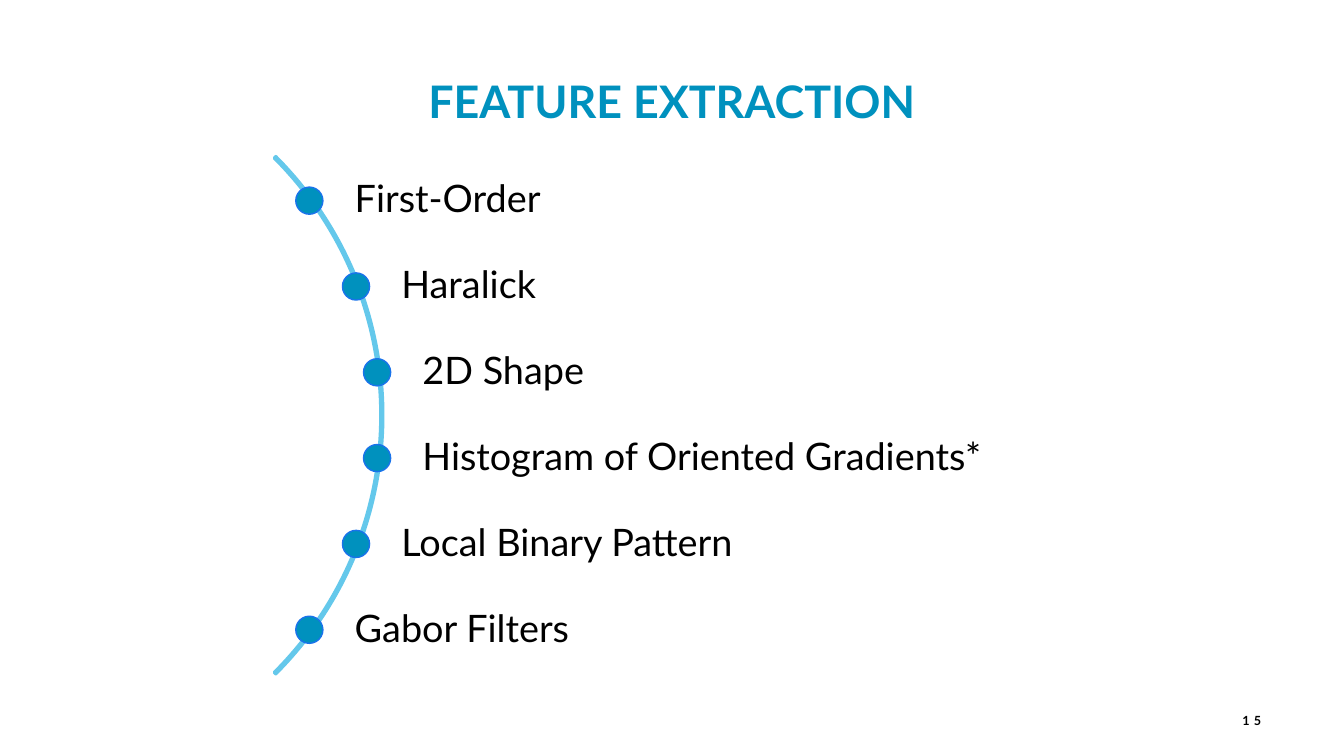
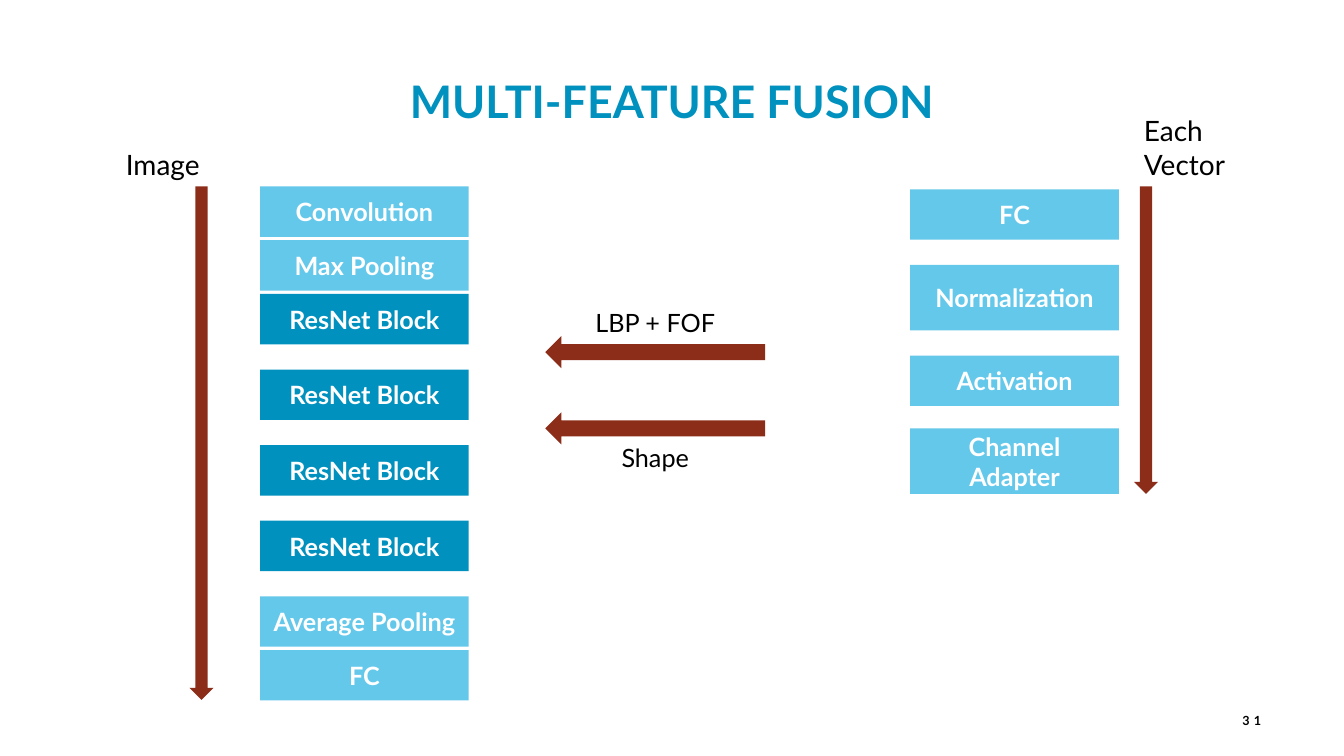
from math import sqrt

from pptx import Presentation
from pptx.dml.color import RGBColor
from pptx.enum.shapes import MSO_SHAPE
from pptx.enum.text import MSO_ANCHOR, PP_ALIGN
from pptx.util import Pt

SLIDE_WIDTH, SLIDE_HEIGHT = 960, 540
BLUE, SKY, DOT_EDGE = "0091BE", "64C8EB", "1973EB"
BRICK, BLACK, WHITE = "8C2D19", "000000", "FFFFFF"
BOX_WIDTH, BOX_HEIGHT, TALL_BOX = 149, 36, 46.8
WIDE_GAP, MEDIUM_GAP, THIN_GAP = 18, 16, 2.4

TITLE = {"size": Pt(32), "bold": True}
NUMBER = {"size": Pt(9), "bold": True}
ITEM = {"size": Pt(27)}
BOX_LABEL = {"size": Pt(18), "bold": True}
FLOW_LABEL = {"size": Pt(20)}
ARROW_LABEL = {"size": Pt(18)}


def color(value):
    return RGBColor.from_string(value)


def place(left, top, width, height):
    return [Pt(length) for length in (left, top, width, height)]


def write(box, lines, style, ink, align, frame_format):
    """Fill the box with one paragraph per line."""
    frame = box.text_frame
    frame.word_wrap = True
    for name, value in frame_format.items():
        setattr(frame, name, value)
    for index, line in enumerate(lines.split("\n")):
        para = frame.add_paragraph() if index else frame.paragraphs[0]
        para.alignment = align
        span = para.add_run()
        span.text = line
        span.font.name = "Lato"
        span.font.color.rgb = color(ink)
        for name, value in style.items():
            setattr(span.font, name, value)


def add_text(page, area, lines, style, ink=BLACK, align=PP_ALIGN.LEFT, **frame_format):
    box = page.shapes.add_textbox(*place(*area))
    write(box, lines, style, ink, align, frame_format)
    return box


def add_shape(page, kind, area, fill, edge=None, edge_width=1):
    shape = page.shapes.add_shape(kind, *place(*area))
    shape.shadow.inherit = False
    shape.fill.solid()
    shape.fill.fore_color.rgb = color(fill)
    if edge:
        shape.line.color.rgb = color(edge)
        shape.line.width = Pt(edge_width)
    else:
        shape.line.fill.background()
    return shape


def add_page(deck, title, number):
    page = deck.slides.add_slide(deck.slide_layouts[6])
    add_text(page, (0, 49, SLIDE_WIDTH, 46), title, TITLE, BLUE, PP_ALIGN.CENTER)
    number_box = add_text(page, (851, 500.4, 57, 28.8), number, NUMBER,
                          align=PP_ALIGN.RIGHT, vertical_anchor=MSO_ANCHOR.MIDDLE)
    span = number_box.text_frame.paragraphs[0].runs[0]
    span.font._element.set("spc", "300")
    return page


def add_arc_list(page, items):
    """Hang the items on dots that follow a circle's right side."""
    center_x, center_y, size = 12.2, 296.6, 522.7
    dot_radius, pitch, dot, right, height = 259, 61.3, 19.4, 764.6, 41
    arc = add_shape(page, MSO_SHAPE.BLOCK_ARC,
                    (center_x - size / 2, center_y - size / 2, size, size),
                    SKY, SKY, 2.25)
    for index, value in enumerate((189, 27, 0.003)):
        arc.adjustments[index] = value
    for index, item in enumerate(items):
        rise = (index - (len(items) - 1) / 2) * pitch
        x, y = center_x + sqrt(dot_radius ** 2 - rise ** 2), center_y + rise
        box = add_text(page, (x, y - height / 2, right - x, height), item, ITEM,
                       margin_left=Pt(32.4), margin_right=Pt(5), margin_top=Pt(5),
                       margin_bottom=Pt(5), vertical_anchor=MSO_ANCHOR.MIDDLE)
        box.text_frame.paragraphs[0].line_spacing = 0.9
        add_shape(page, MSO_SHAPE.OVAL, (x - dot / 2, y - dot / 2, dot, dot),
                  BLUE, DOT_EDGE)


def add_stack(page, left, top, rows):
    """Stack boxes downwards; a row is label, fill, height and gap below."""
    for label, fill, height, gap in rows:
        box = add_shape(page, MSO_SHAPE.RECTANGLE, (left, top, BOX_WIDTH, height), fill)
        write(box, label, BOX_LABEL, WHITE, PP_ALIGN.CENTER,
              {"vertical_anchor": MSO_ANCHOR.MIDDLE})
        top += height + gap


def add_flow(page, left, height, label, label_area):
    """Add a long downward arrow with its label above."""
    add_shape(page, MSO_SHAPE.DOWN_ARROW, (left, 133.2, 17.3, height), BRICK)
    add_text(page, label_area, label, FLOW_LABEL)


def add_link(page, arrow_top, label, label_top):
    add_shape(page, MSO_SHAPE.LEFT_ARROW, (389.5, arrow_top, 157, 23), BRICK)
    add_text(page, (389.5, label_top, 157, 29), label, ARROW_LABEL,
             align=PP_ALIGN.CENTER)


def build_extraction(deck):
    page = add_page(deck, "FEATURE EXTRACTION", "15")
    add_arc_list(page, ("First-Order", "Haralick", "2D Shape",
                        "Histogram of Oriented Gradients*",
                        "Local Binary Pattern", "Gabor Filters"))


def build_fusion(deck):
    page = add_page(deck, "MULTI-FEATURE FUSION", "31")
    residual = ("ResNet Block", BLUE, BOX_HEIGHT, WIDE_GAP)
    add_stack(page, 185.8, 133.2, [
        ("Convolution", SKY, BOX_HEIGHT, THIN_GAP),
        ("Max Pooling", SKY, BOX_HEIGHT, THIN_GAP),
        *[residual] * 4,
        ("Average Pooling", SKY, BOX_HEIGHT, THIN_GAP),
        ("FC", SKY, BOX_HEIGHT, 0),
    ])
    add_stack(page, 650.2, 135.2, [
        ("FC", SKY, BOX_HEIGHT, WIDE_GAP),
        ("Normalization", SKY, TALL_BOX, WIDE_GAP),
        ("Activation", SKY, BOX_HEIGHT, MEDIUM_GAP),
        ("Channel\nAdapter", SKY, TALL_BOX, 0),
    ])
    add_flow(page, 135.3, 366.8, "Image", (82.8, 101.5, 79, 31.7))
    add_flow(page, 810, 219.6, "Each\nVector", (810, 77.8, 149, 55.4))
    add_link(page, 240, "LBP + FOF", 216)
    add_link(page, 294.5, "Shape", 312.5)


def main():
    deck = Presentation()
    deck.slide_width, deck.slide_height = Pt(SLIDE_WIDTH), Pt(SLIDE_HEIGHT)
    build_extraction(deck)
    build_fusion(deck)
    deck.save("out.pptx")


if __name__ == "__main__":
    main()
